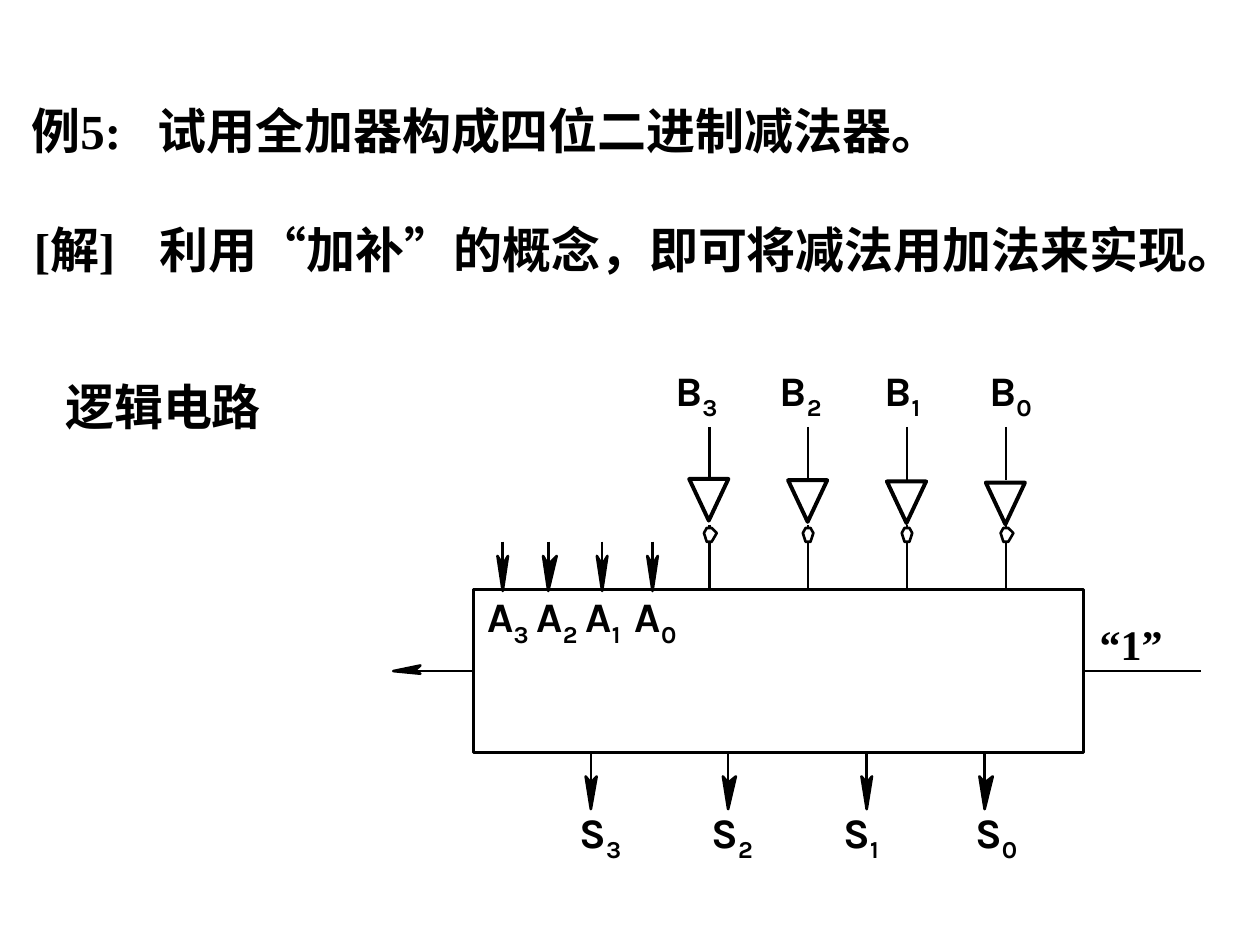
from lxml.etree import SubElement
from pptx import Presentation
from pptx.dml.color import RGBColor
from pptx.enum.shapes import MSO_CONNECTOR, MSO_SHAPE
from pptx.enum.text import MSO_ANCHOR, MSO_AUTO_SIZE, PP_ALIGN
from pptx.oxml.ns import qn
from pptx.util import Pt

BLACK = RGBColor(0, 0, 0)
WHITE = RGBColor(255, 255, 255)
SERIF, SANS, CHINESE = "Times New Roman", "Karla", "Noto Sans CJK SC"
INDICES = "3210"


def add_run(paragraph, text, font_name, size, baseline=None):
    run = paragraph.add_run()
    run.text = text
    for name, value in {"name": font_name, "size": Pt(size), "bold": True}.items():
        setattr(run.font, name, value)
    run.font.color.rgb = BLACK
    properties = run.font._element
    SubElement(properties, qn("a:ea")).set("typeface", CHINESE)
    if baseline is not None:
        properties.set("baseline", str(baseline))


def format_frame(shape, **values):
    frame = shape.text_frame
    for name, value in values.items():
        setattr(frame, name, value)
    return frame.paragraphs[0]


def add_text_box(slide, left, top, width, height, wrap=True):
    shape = slide.shapes.add_textbox(Pt(left), Pt(top), Pt(width), Pt(height))
    return format_frame(shape, word_wrap=wrap, auto_size=MSO_AUTO_SIZE.SHAPE_TO_FIT_TEXT)


def fill_placeholder(shape, box, lead, text, inset, tab, line_spacing):
    """Statement line: a lead word, then text at a tab stop."""
    for name, value in zip(("left", "top", "width", "height"), box):
        setattr(shape, name, Pt(value))
    paragraph = format_frame(
        shape, word_wrap=True, auto_size=MSO_AUTO_SIZE.NONE, vertical_anchor=MSO_ANCHOR.TOP,
        margin_left=Pt(inset), margin_right=0)
    properties = paragraph._p.get_or_add_pPr()
    properties.set("marL", "0")
    properties.set("indent", "0")
    SubElement(properties, qn("a:buNone"))
    tabs = SubElement(properties, qn("a:tabLst"))
    SubElement(tabs, qn("a:tab"), pos=str(Pt(tab)), algn="l")
    formats = {"alignment": PP_ALIGN.LEFT, "space_before": Pt(0), "line_spacing": line_spacing}
    for name, value in formats.items():
        setattr(paragraph, name, value)
    add_run(paragraph, f"{lead}\t{text}", SERIF, 28)


def style_shape(shape, fill=None, line_width=1.5):
    shape.shadow.inherit = False
    if fill is None:
        shape.fill.background()
    else:
        shape.fill.solid()
        shape.fill.fore_color.rgb = fill
    shape.line.color.rgb = BLACK
    shape.line.width = Pt(line_width)


def add_wire(slide, x1, y1, x2, y2):
    wire = slide.shapes.add_connector(MSO_CONNECTOR.STRAIGHT, Pt(x1), Pt(y1), Pt(x2), Pt(y2))
    wire.line.color.rgb = BLACK
    wire.line.width = Pt(1.5)
    SubElement(wire._element.spPr, qn("a:effectLst"))
    return wire


def add_outline(slide, x, y, points, fill):
    start, *rest = [(Pt(x + dx), Pt(y + dy)) for dx, dy in points]
    builder = slide.shapes.build_freeform(*start)
    builder.add_line_segments(rest, close=True)
    style_shape(builder.convert_to_shape(), fill)


def add_down_arrow(slide, x, tail, tip, head, notch, right):
    add_wire(slide, x, tail, x, tip)
    add_outline(slide, x, tip, [(right, -head), (0, notch - head), (-3, -head), (0, 0)], BLACK)


def add_labels(slide, letter, left, top, step, width):
    for column, index in enumerate(INDICES):
        paragraph = add_text_box(slide, left + column * step, top, width, 36, wrap=False)
        add_run(paragraph, letter, SANS, 24)
        add_run(paragraph, index, SANS, 24, baseline=-25000)


def draw_inverters(slide, left, adder_top):
    """Four inverted B inputs running down to the adder."""
    for column, bubble_right in enumerate((4.3, 3, 3, 4.3)):
        x = left + column * 56.5
        add_wire(slide, x, adder_top - 36.7, x, adder_top)
        add_wire(slide, x, adder_top - 93, x, adder_top - 62.7)
        bubble = [(-3, 2.9), (-1.4, 0), (1.4, 0), (bubble_right, 2.9), (1.4, 7.9), (-1.4, 7.9)]
        add_outline(slide, x, adder_top - 35.3, bubble, WHITE)
        gate = slide.shapes.add_shape(
            MSO_SHAPE.FLOWCHART_EXTRACT, Pt(x - 11.5),
            Pt(adder_top - 63.3 + column * 0.7), Pt(22.4), Pt(23.8))
        gate.rotation = 180
        style_shape(gate, WHITE, 2.25)
    add_labels(slide, "B", left - 26.6, adder_top - 132.5, 59.8, 41.8)


def draw_adder(slide, left, top, width, height):
    """Adder block with its inputs, outputs and carries."""
    adder = slide.shapes.add_shape(MSO_SHAPE.RECTANGLE, Pt(left), Pt(top), Pt(width), Pt(height))
    style_shape(adder)
    right, bottom, middle = left + width, top + height, top + height / 2

    # A inputs and S outputs: column offset, right half-width of the arrowhead
    for offset, spread in ((16.6, 3), (42.6, 4.8), (73.4, 3), (102.2, 3)):
        add_down_arrow(slide, left + offset, top - 27.5, top + 0.7, 20, 5, spread)
    for offset, spread in ((67, 3.3), (145.4, 4.4), (224.6, 3), (292, 4.6)):
        add_down_arrow(slide, left + offset, bottom, bottom + 32.4, 18.7, 3.6, spread)
    add_labels(slide, "A", left + 0.7, top - 2.9, 28.1, 41.8)
    add_labels(slide, "S", left + 53.3, top + 120.2, 75.4, 40.3)

    # Carry out on the left, constant carry in on the right
    add_wire(slide, left, middle, left - 46, middle).begin_connect(adder, 1)
    add_outline(slide, left - 46, middle, [(15.5, 1.5), (12, 0), (15.5, -3.2), (0, 0)], BLACK)
    add_wire(slide, right + 67, middle, right, middle).end_connect(adder, 3)
    paragraph = add_text_box(slide, right + 2, top + 4.3, 63.4, 45.4)
    paragraph.line_spacing = 1.3
    add_run(paragraph, "“1”", SERIF, 24)

    draw_inverters(slide, left + 134.6, top)


def main():
    presentation = Presentation()
    presentation.slide_width, presentation.slide_height = Pt(720), Pt(540)
    slide = presentation.slides.add_slide(presentation.slide_layouts[1])

    # Problem and solution statements
    title, body = slide.placeholders
    fill_placeholder(title, (0, 54, 535, 41), "例5:", "试用全加器构成四位二进制减法器。", 18, 79, 1)
    fill_placeholder(body, (4.3, 111.6, 715, 46.8), "[解]",
                     "利用“加补”的概念，即可将减法用加法来实现。", 15, 82, 1.3)

    # Circuit heading and diagram
    add_run(add_text_box(slide, 30.2, 211.7, 161.3, 41), "逻辑电路", CHINESE, 28)
    draw_adder(slide, 270.7, 337, 348.5, 93)
    presentation.save("out.pptx")


if __name__ == "__main__":
    main()
